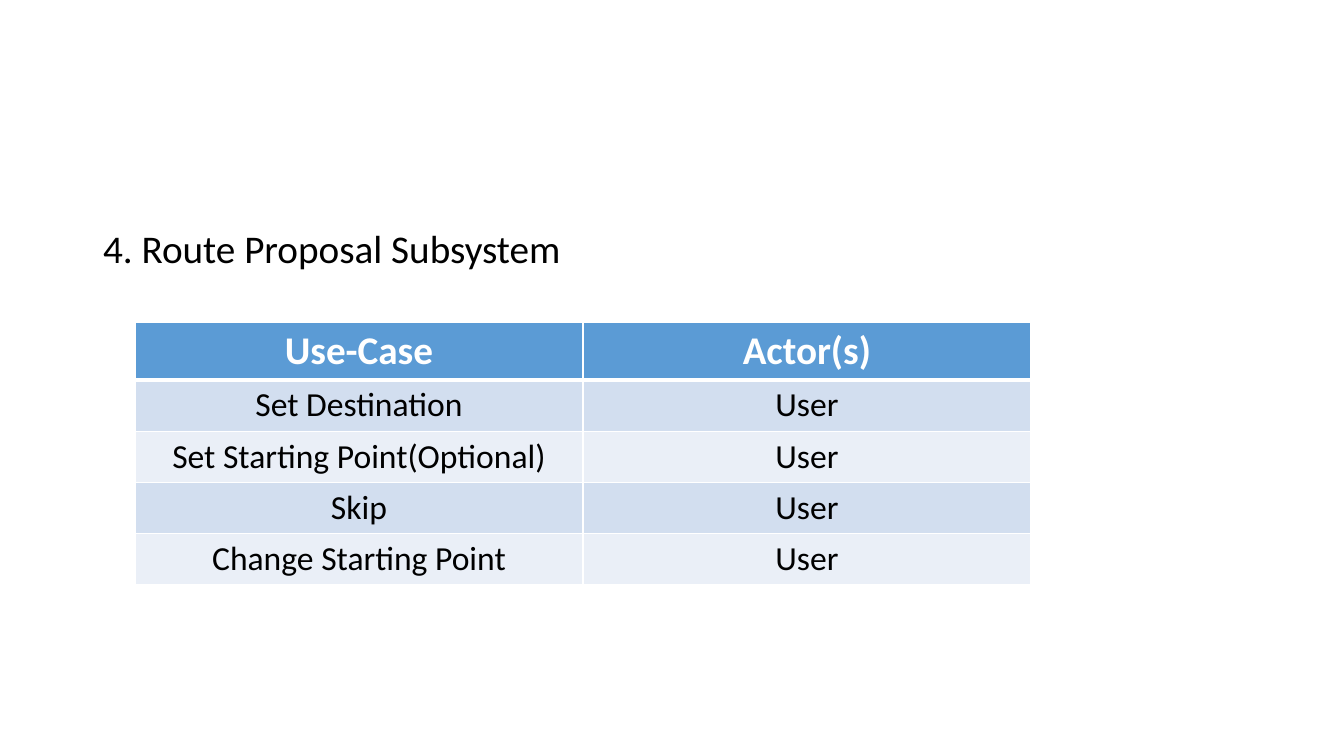
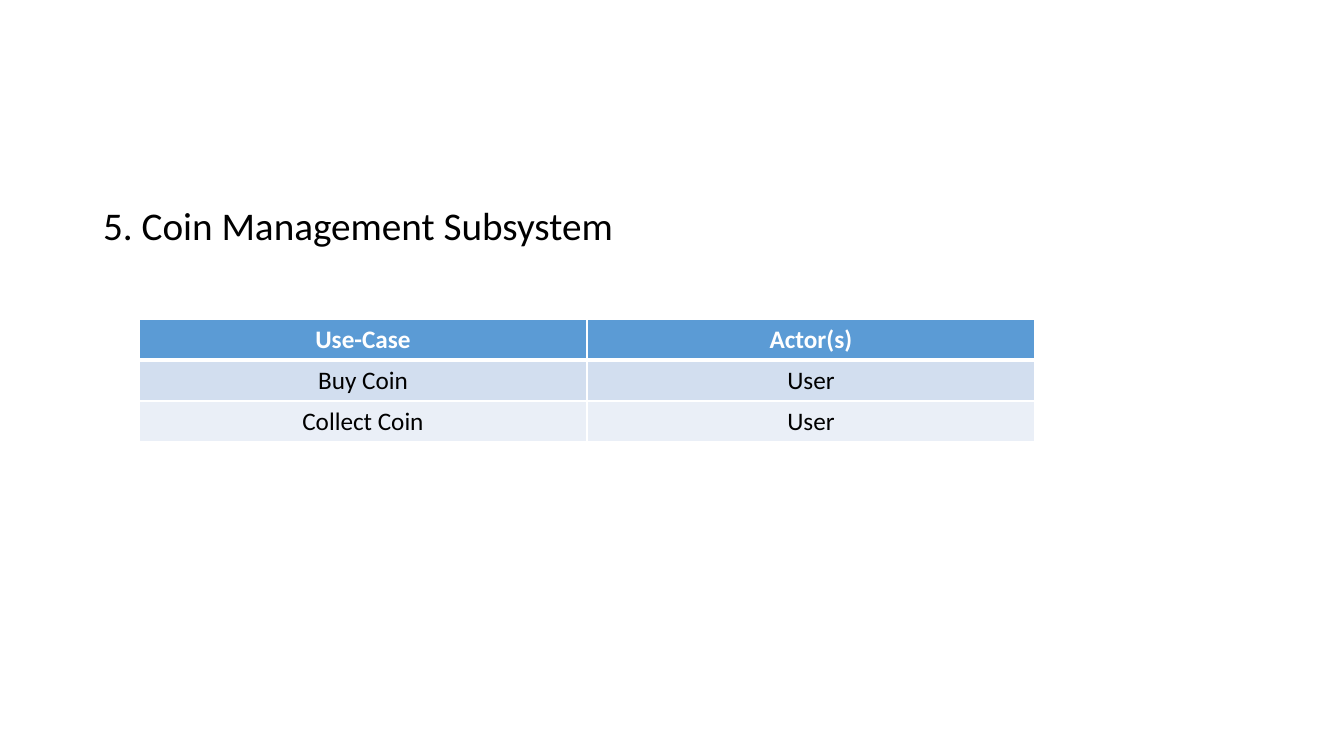
import pptx
import pptx.dml.color
import pptx.enum.text
import pptx.oxml.ns
import pptx.util
import lxml.etree

SCALE = 914400 / 100.8
FONT = "Calibri"
BLACK = "000000"
WHITE = "FFFFFF"
HEADER_FILL = "5B9BD5"
BAND_FILLS = ["D2DEEF", "EAEFF7"]
COLUMN_WIDTH = 448
HEADER = ("Use-Case", "Actor(s)")
THIN, THICK = 1, 3


def px(length):
    return pptx.util.Emu(round(length * SCALE))


def color(code):
    return pptx.dml.color.RGBColor.from_string(code)


def style_font(para, size, code, bold=False):
    para.font.name = FONT
    para.font.size = pptx.util.Pt(size)
    para.font.bold = bold
    para.font.color.rgb = color(code)


def add_heading(page, text, top):
    box = page.placeholders[1]
    box.left, box.top, box.width, box.height = px(93), px(top), px(1159), px(480)
    box.text_frame.text = text
    para = box.text_frame.paragraphs[0]
    para.line_spacing = 0.9
    para.space_before = pptx.util.Pt(10)
    style_font(para, 28, BLACK)
    properties = para._p.get_or_add_pPr()
    properties.set("marL", "0")
    properties.set("indent", "0")
    lxml.etree.SubElement(properties, pptx.oxml.ns.qn("a:buNone"))


def add_borders(cell, top, bottom):
    properties = cell._tc.get_or_add_tcPr()
    widths = {"a:lnL": THIN, "a:lnR": THIN, "a:lnT": top, "a:lnB": bottom}
    for tag, width in widths.items():
        line = lxml.etree.SubElement(properties, pptx.oxml.ns.qn(tag), w=str(pptx.util.Pt(width)))
        fill = lxml.etree.SubElement(line, pptx.oxml.ns.qn("a:solidFill"))
        lxml.etree.SubElement(fill, pptx.oxml.ns.qn("a:srgbClr"), val=WHITE)


def fill_cell(cell, text, row, size):
    is_header = row == 0
    add_borders(cell, THICK if row == 1 else THIN, THICK if is_header else THIN)
    cell.fill.solid()
    cell.fill.fore_color.rgb = color(HEADER_FILL if is_header else BAND_FILLS[(row - 1) % 2])
    cell.text = text
    para = cell.text_frame.paragraphs[0]
    para.alignment = pptx.enum.text.PP_ALIGN.CENTER
    style_font(para, size, WHITE if is_header else BLACK, is_header)


def add_use_cases(page, use_cases, left, top, header_size, body_size, header_height, row_height):
    rows = [HEADER] + [(use_case, "User") for use_case in use_cases]
    height = header_height + row_height * len(use_cases)
    table = page.shapes.add_table(
        len(rows), len(HEADER), px(left), px(top), px(COLUMN_WIDTH * len(HEADER)), px(height)
    ).table
    for column in table.columns:
        column.width = px(COLUMN_WIDTH)
    for row, values in enumerate(rows):
        table.rows[row].height = px(row_height if row else header_height)
        for column, text in enumerate(values):
            fill_cell(table.cell(row, column), text, row, body_size if row else header_size)


def add_page(deck, heading, heading_top):
    page = deck.slides.add_slide(deck.slide_layouts[1])
    title = page.shapes.title._element
    title.getparent().remove(title)
    add_heading(page, heading, heading_top)
    return page


def main():
    deck = pptx.Presentation()
    deck.slide_width, deck.slide_height = px(1344), px(756)

    route_page = add_page(deck, "4. Route Proposal Subsystem", 225)
    route_cases = ["Set Destination", "Set Starting Point(Optional)", "Skip", "Change Starting Point"]
    add_use_cases(route_page, route_cases, 135, 322, 28, 24, 57, 51)

    coin_page = add_page(deck, "5. Coin Management Subsystem", 202)
    add_use_cases(coin_page, ["Buy Coin", "Collect Coin"], 139, 319, 18, 18, 41, 41)

    deck.save("out.pptx")


main()
